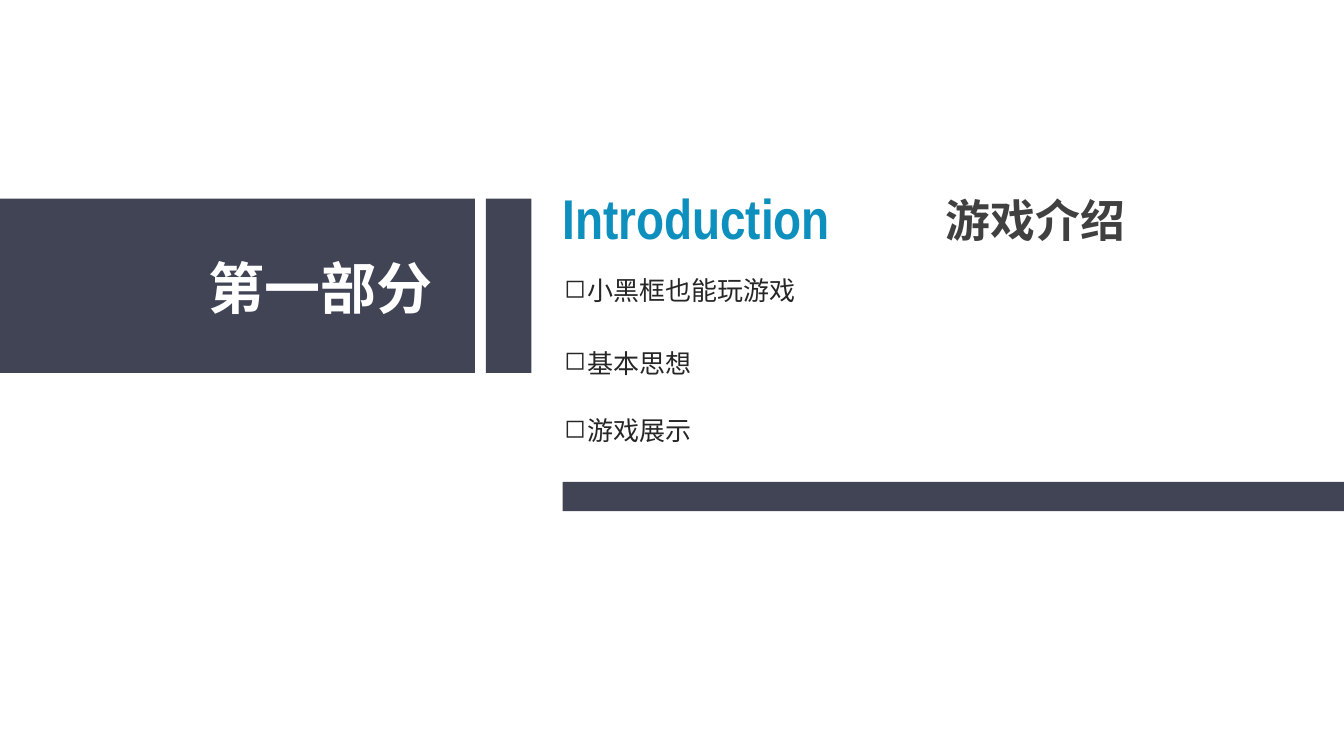
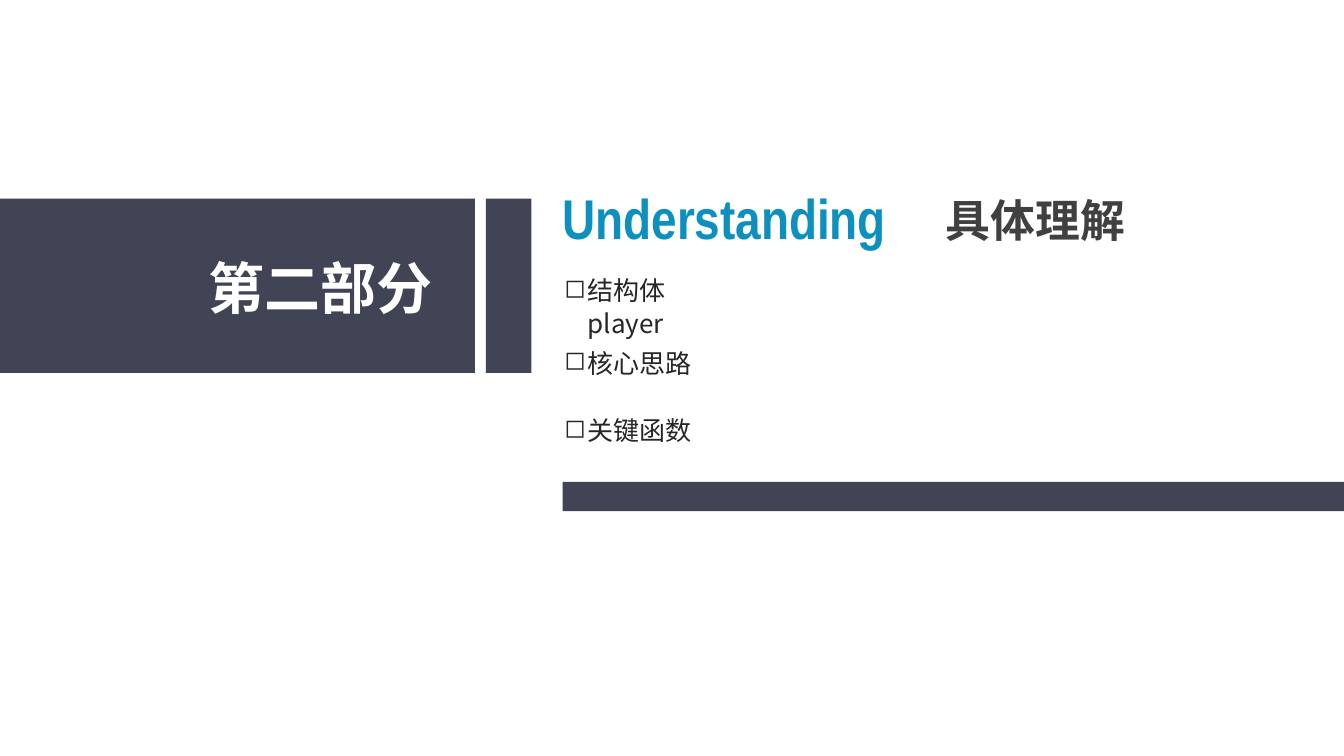
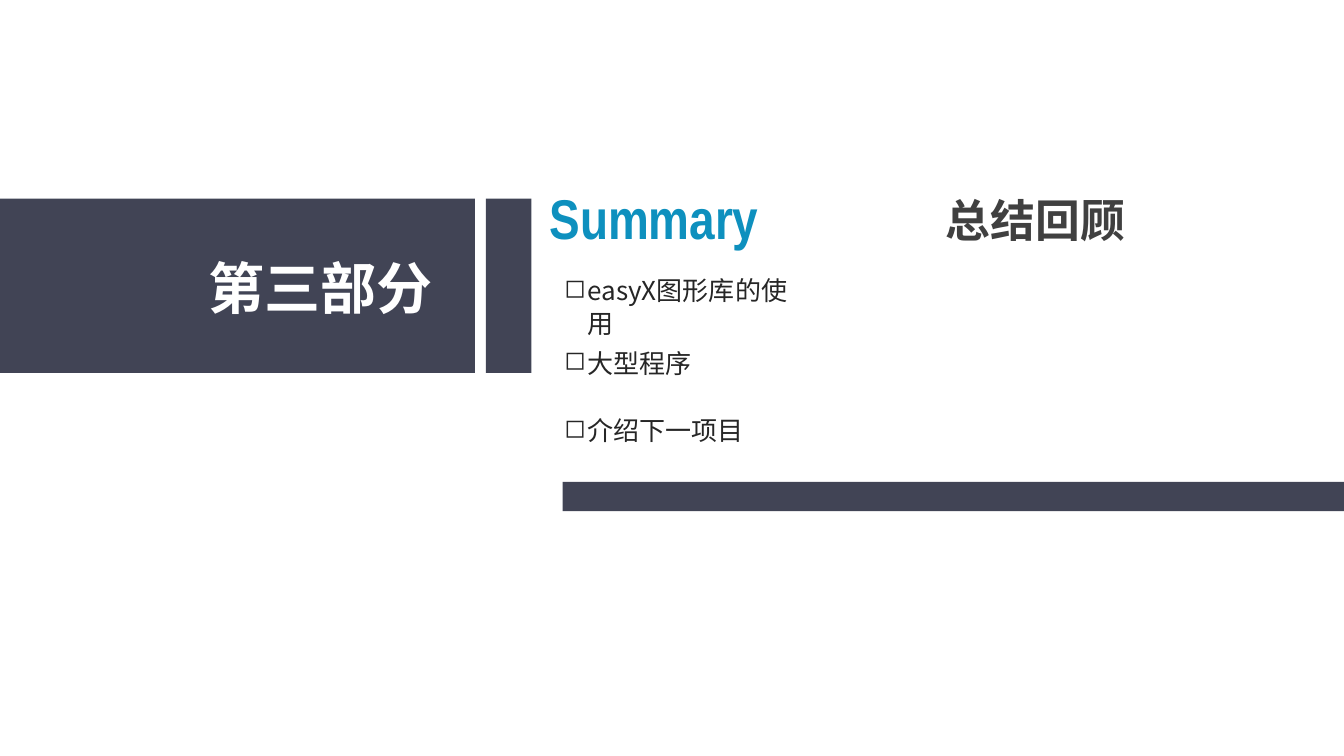
from dataclasses import dataclass

from lxml.etree import SubElement
from pptx import Presentation
from pptx.dml.color import RGBColor
from pptx.enum.shapes import MSO_SHAPE as Preset
from pptx.enum.text import MSO_AUTO_SIZE as AutoSize
from pptx.oxml.ns import qn
from pptx.slide import Slide
from pptx.util import Inches, Pt

SLIDE_WIDTH, SLIDE_HEIGHT = Inches(13.33), Inches(7.5)
COLORS = {
    "band": "414455",
    "label": "FFFFFF",
    "heading": "0E90BE",
    "title": "404040",
    "topic": "262626",
}
CHINESE_FONT, LATIN_FONT = "Noto Sans CJK SC", "Arial Narrow"
CHINESE_LINE_HEIGHT = 1.26
BULLET_INDENT = Inches(0.23)


@dataclass(frozen=True)
class Box:
    """A rectangle in percent of the slide's width and height."""

    left: float
    top: float
    width: float
    height: float

    def lengths(self) -> tuple[int, int, int, int]:
        return (
            int(SLIDE_WIDTH * self.left / 100),
            int(SLIDE_HEIGHT * self.top / 100),
            int(SLIDE_WIDTH * self.width / 100),
            int(SLIDE_HEIGHT * self.height / 100),
        )


@dataclass(frozen=True)
class Section:
    label: str
    heading: str
    title: str
    topics: tuple[str, str, str]
    heading_indent: float = 0.13
    topic_width: float = 19


BANDS = (
    Box(0, 26.27, 35.33, 23.07),
    Box(36.16, 26.27, 3.38, 23.07),
    Box(41.86, 63.73, 58.14, 3.87),
)
LABEL_BOX = Box(14.78, 32.4, 18.15, 10.27)
HEADING_BOX = Box(40.14, 23.6, 37.21, 10.27)
TITLE_BOX = Box(69.62, 24.53, 25.06, 8.53)
TOPIC_LEFT, TOPIC_HEIGHT = 41.26, 5.47
TOPIC_TOPS = (35.47, 45.07, 54)

SECTIONS = (
    Section("第一部分", "Introduction", "游戏介绍",
            ("小黑框也能玩游戏", "基本思想", "游戏展示")),
    Section("第二部分", "Understanding", "具体理解",
            ("结构体player", "核心思路", "关键函数"), topic_width=14.25),
    Section("第三部分", "Summary", "总结回顾",
            ("easyX图形库的使用", "大型程序", "介绍下一项目"), heading_indent=0),
)


def add_band(slide: Slide, box: Box) -> None:
    shape = slide.shapes.add_shape(Preset.RECTANGLE, *box.lengths())
    shape.shadow.inherit = False
    shape.fill.solid()
    shape.fill.fore_color.rgb = RGBColor.from_string(COLORS["band"])
    shape.line.fill.background()


def add_text(slide: Slide, box: Box, text: str, *, size: float, color: str,
             font: str = CHINESE_FONT, bold: bool = False, wrap: bool = True,
             indent: float = 0, bullet: str = "") -> None:
    frame = slide.shapes.add_textbox(*box.lengths()).text_frame
    frame.word_wrap = wrap
    frame.auto_size = AutoSize.SHAPE_TO_FIT_TEXT
    paragraph = frame.paragraphs[0]
    if font == CHINESE_FONT:
        paragraph.line_spacing = Pt(round(size * CHINESE_LINE_HEIGHT, 1))
    properties = paragraph._p.get_or_add_pPr()
    if bullet:
        properties.set("marL", str(BULLET_INDENT))
        properties.set("indent", str(-BULLET_INDENT))
        SubElement(properties, qn("a:buChar"), char=bullet)
    elif indent:
        properties.set("marL", str(Inches(indent)))

    run = paragraph.add_run()
    run.text = text
    run.font.name = font
    run.font.size = Pt(size)
    run.font.bold = bold
    run.font.color.rgb = RGBColor.from_string(COLORS[color])
    SubElement(run._r.get_or_add_rPr(), qn("a:ea"), typeface=font)


def add_section(presentation: Presentation, section: Section) -> None:
    slide = presentation.slides.add_slide(presentation.slide_layouts[6])
    for band in BANDS:
        add_band(slide, band)
    add_text(slide, LABEL_BOX, section.label, size=40, color="label",
             bold=True, wrap=False)
    add_text(slide, HEADING_BOX, section.heading, size=40, color="heading",
             font=LATIN_FONT, bold=True, indent=section.heading_indent)
    add_text(slide, TITLE_BOX, section.title, size=32, color="title", bold=True)
    for top, topic in zip(TOPIC_TOPS, section.topics):
        box = Box(TOPIC_LEFT, top, section.topic_width, TOPIC_HEIGHT)
        add_text(slide, box, topic, size=18.6, color="topic", bullet="◻")


def main() -> None:
    presentation = Presentation()
    presentation.slide_width = SLIDE_WIDTH
    presentation.slide_height = SLIDE_HEIGHT
    for section in SECTIONS:
        add_section(presentation, section)
    presentation.save("out.pptx")


if __name__ == "__main__":
    main()
